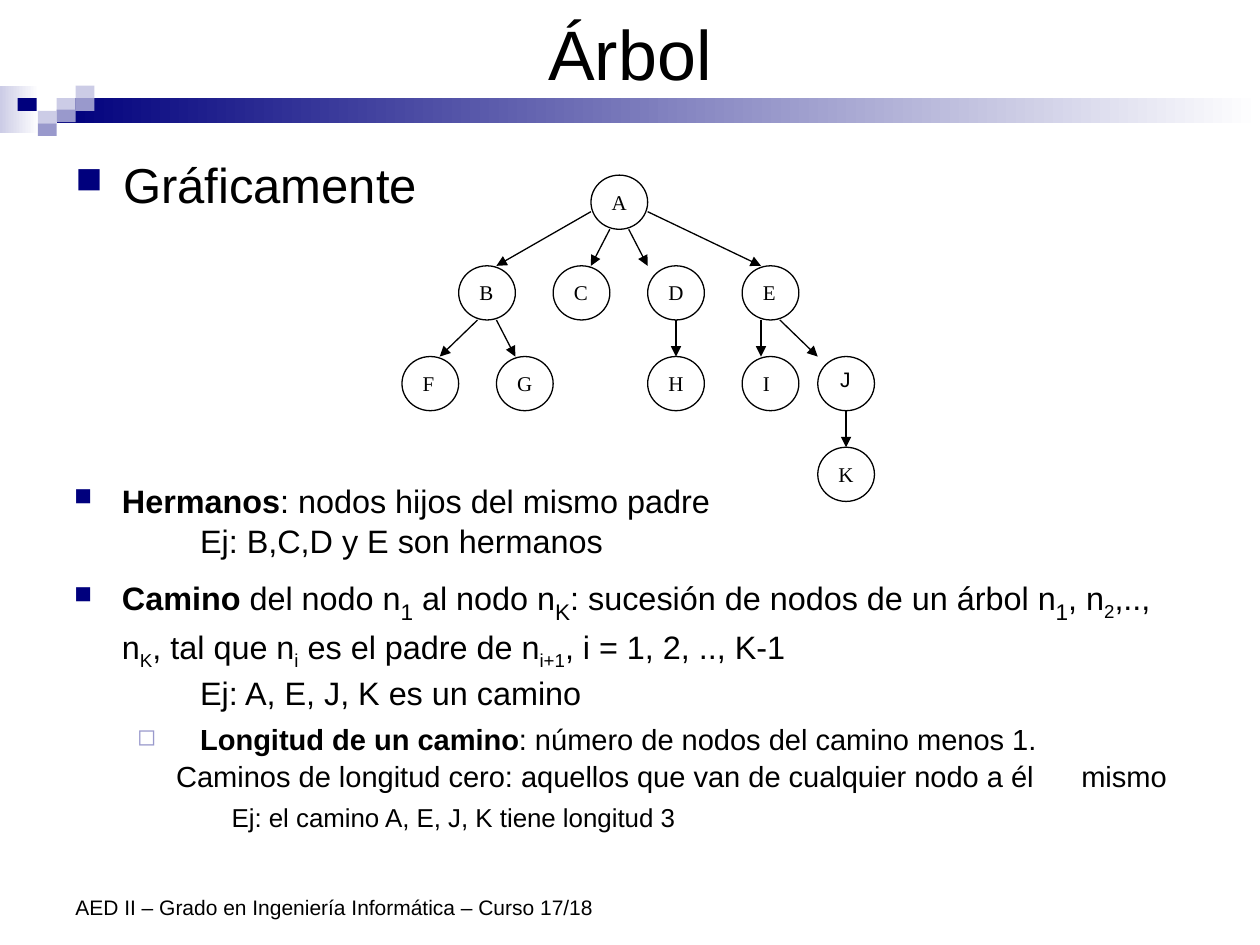
from dataclasses import dataclass

from lxml.etree import SubElement
from pptx import Presentation
from pptx.dml.color import RGBColor as Rgb
from pptx.enum.shapes import MSO_CONNECTOR as Connector, MSO_SHAPE as Shape
from pptx.enum.text import MSO_ANCHOR as Anchor, PP_ALIGN as Align
from pptx.oxml.ns import qn
from pptx.util import Inches, Pt


@dataclass(frozen=True)
class Theme:
    sans: str = "Arial"
    serif: str = "Times New Roman"
    black: str = "000000"
    white: str = "FFFFFF"
    navy: str = "00007D"
    lilac: str = "9999CC"
    pale: str = "CCCCE6"
    title: float = 40
    heading: float = 28
    small: float = 12
    body: float = 18.5
    big_subscript: float = 22.2
    detail: float = 16.6
    example: float = 14.8


THEME = Theme()

TITLE = "Árbol"
HEADING = "Gráficamente"
FOOTER = "AED II – Grado en Ingeniería Informática – Curso 17/18"

# Runs are (text, style); a line feed is a line break.
BOLD, PLAIN, SUB, BIG_SUB = "bold", "plain", "subscript", "big subscript"
DEFINITIONS = [
    ("main", [("Hermanos", BOLD),
              (": nodos hijos del mismo padre\n\tEj: B,C,D y E son hermanos", PLAIN)]),
    ("main", [("Camino", BOLD), (" del nodo n", PLAIN), ("1", BIG_SUB),
              (" al nodo n", PLAIN), ("K", BIG_SUB),
              (": sucesión de nodos de un árbol n", PLAIN), ("1", BIG_SUB),
              (", n", PLAIN), ("2", SUB), (",.., n", PLAIN), ("K", SUB),
              (", tal que n", PLAIN), ("i", SUB), (" es el padre de n", PLAIN),
              ("i+1", SUB),
              (", i = 1, 2, .., K-1\n\tEj: A, E, J, K es un camino", PLAIN)]),
    ("detail", [("\tLongitud de un camino", BOLD),
                (": número de nodos del camino menos 1. \tCaminos de longitud cero: "
                 "aquellos que van de cualquier nodo a él \tmismo", PLAIN)]),
    ("example", [("\tEj: el camino A, E, J, K tiene longitud 3", PLAIN)]),
]
# Level: margin, hanging indent, size, space before, bullet (sign, colour, percent), tabs
LEVELS = {
    "heading": (0.38, 0.38, THEME.heading, 7, ("■", THEME.navy, 75), range(1, 9)),
    "main": (0.38, 0.38, THEME.body, 5, ("■", THEME.navy, 75), range(1, 9)),
    "detail": (0.81, 0.31, THEME.detail, 4.5, ("◻", THEME.lilac, 80), range(1, 9)),
    "example": (1.25, 0.25, THEME.example, 4, None, range(2, 9)),
}
LINE_SPACING = 1.05

# Tree: node -> (column, row); edges give the columns where they start and end.
NODES = {"A": (10, 0), "B": (3, 1), "C": (8, 1), "D": (13, 1), "E": (18, 1),
         "F": (0, 2), "G": (5, 2), "H": (13, 2), "I": (18, 2), "J": (22, 2),
         "K": (22, 3)}
EDGES = [("A", 10, "B", 5), ("A", 11, "C", 10), ("A", 12, "D", 13), ("A", 13, "E", 19),
         ("B", 4, "F", 2), ("B", 5, "G", 6), ("D", 14.5, "H", 14.5),
         ("E", 19, "I", 19), ("E", 20, "J", 22), ("J", 23.5, "K", 23.5)]
TREE_LEFT, TREE_TOP, COLUMN, ROW = 3.19, 1.39, 0.15, 0.72
NODE_WIDTH, NODE_HEIGHT, SIDE_RISE = 0.45, 0.43, 0.14

# Band: left, top, width, height, fill (two colours make a gradient)
TILE = (0.15, 0.1)
BAND = [(0, 0.68, 0.31, 0.38, (THEME.pale, THEME.white)),
        (0.45, 0.78, 9.55, 0.2, (THEME.navy, THEME.white))]
BAND += [(left, top, *TILE, (colour,)) for left, top, colour in [
    (0.45, 0.78, THEME.pale), (0.6, 0.68, THEME.pale), (0.6, 0.78, THEME.lilac),
    (0.3, 0.88, THEME.pale), (0.14, 0.78, THEME.navy), (0.45, 0.87, THEME.lilac),
    (0.3, 0.98, THEME.lilac)]]


def color(value):
    return Rgb.from_string(value)


def style_font(font, size, face=THEME.sans, bold=False):
    font.size, font.name, font.bold = Pt(size), face, bold
    font.color.rgb = color(THEME.black)


def add_shape(slide, kind, left, top, width, height, fill):
    shape = slide.shapes.add_shape(kind, *map(Inches, (left, top, width, height)))
    shape.shadow.inherit = False
    if len(fill) == 1:
        shape.fill.solid()
        shape.fill.fore_color.rgb = color(fill[0])
    else:
        shape.fill.gradient()
        shape.fill.gradient_angle = 0
        for stop, value in zip(shape.fill.gradient_stops, fill):
            stop.color.rgb = color(value)
    shape.line.fill.background()
    return shape


def add_box(slide, left, top, width, height, anchor=Anchor.TOP):
    box = slide.shapes.add_textbox(*map(Inches, (left, top, width, height)))
    box.text_frame.word_wrap = True
    box.text_frame.vertical_anchor = anchor
    return box.text_frame


def write_line(frame, text, size, face=THEME.sans, align=Align.LEFT):
    frame.text = text
    para = frame.paragraphs[0]
    para.alignment = align
    style_font(para.runs[0].font, size, face)


def format_level(para, level):
    """Set the indent, bullet and tab stops of a paragraph."""
    margin, hanging, _, _, bullet, tabs = LEVELS[level]
    props = para._p.get_or_add_pPr()
    props.set("marL", str(Inches(margin)))
    props.set("indent", str(-Inches(hanging)))
    if bullet:
        sign, value, percent = bullet
        SubElement(SubElement(props, qn("a:buClr")), qn("a:srgbClr"), val=value)
        SubElement(props, qn("a:buSzPct"), val=str(percent * 1000))
        SubElement(props, qn("a:buChar"), char=sign)
    else:
        SubElement(props, qn("a:buNone"))
    stops = SubElement(props, qn("a:tabLst"))
    for tab in tabs:
        SubElement(stops, qn("a:tab"), pos=str(Inches(tab)), algn="l")


def write_level(para, level, runs):
    format_level(para, level)
    size = LEVELS[level][2]
    for text, style in runs:
        for number, line in enumerate(text.split("\n")):
            if number:
                para.add_line_break()
            span = para.add_run()
            span.text = line
            style_font(span.font, THEME.big_subscript if style == BIG_SUB else size,
                       bold=style == BOLD)
            if style in (SUB, BIG_SUB):
                span._r.get_or_add_rPr().set("baseline", "-25000")


def column_x(column):
    return TREE_LEFT + column * COLUMN


def row_y(row):
    return TREE_TOP + row * ROW


def add_node(slide, name):
    column, row = NODES[name]
    left, top = column_x(column), row_y(row)
    node = add_shape(slide, Shape.OVAL, left, top, NODE_WIDTH, NODE_HEIGHT, (THEME.white,))
    node.line.color.rgb = color(THEME.black)
    node.line.width = Pt(0.75)
    if name == "J":
        write_line(add_box(slide, left + 0.08, top + 0.03, NODE_WIDTH, NODE_HEIGHT),
                   name, THEME.small)
    else:
        node.text_frame.vertical_anchor = Anchor.TOP
        write_line(node.text_frame, name, THEME.small, THEME.serif)


def add_edge(slide, parent, start, child, end):
    """Draw an arrow; one that leaves from a side of its parent starts higher."""
    column, row = NODES[parent]
    at_side = start in (column, column + 3)
    start_y = row_y(row) + NODE_HEIGHT - (SIDE_RISE if at_side else 0)
    ends = column_x(start), start_y, column_x(end), row_y(NODES[child][1])
    edge = slide.shapes.add_connector(Connector.STRAIGHT, *map(Inches, ends))
    edge.line.color.rgb = color(THEME.black)
    edge.line.width = Pt(0.75)
    SubElement(edge.line._get_or_add_ln(), qn("a:tailEnd"), type="triangle")
    SubElement(edge._element.spPr, qn("a:effectLst"))


def main():
    deck = Presentation()
    deck.slide_width, deck.slide_height = Inches(10), Inches(7.5)
    slide = deck.slides.add_slide(deck.slide_layouts[6])
    for *place, fill in BAND:
        add_shape(slide, Shape.RECTANGLE, *place, fill)
    write_line(add_box(slide, 0.5, 6.83, 4.5, 0.52, Anchor.BOTTOM), FOOTER, THEME.small)
    write_line(add_box(slide, 0.5, 0.05, 9, 0.73, Anchor.MIDDLE), TITLE, THEME.title,
               align=Align.CENTER)
    heading = add_box(slide, 0.5, 1.18, 9, 0.62)
    write_level(heading.paragraphs[0], "heading", [(HEADING, PLAIN)])
    for name in NODES:
        add_node(slide, name)
    for edge in EDGES:
        add_edge(slide, *edge)
    frame = add_box(slide, 0.49, 3.75, 9, 2.91)
    for number, (level, runs) in enumerate(DEFINITIONS):
        para = frame.add_paragraph() if number else frame.paragraphs[0]
        write_level(para, level, runs)
        para.line_spacing = LINE_SPACING
        if number:
            para.space_before = Pt(LEVELS[level][3])
    deck.save("out.pptx")


if __name__ == "__main__":
    main()
